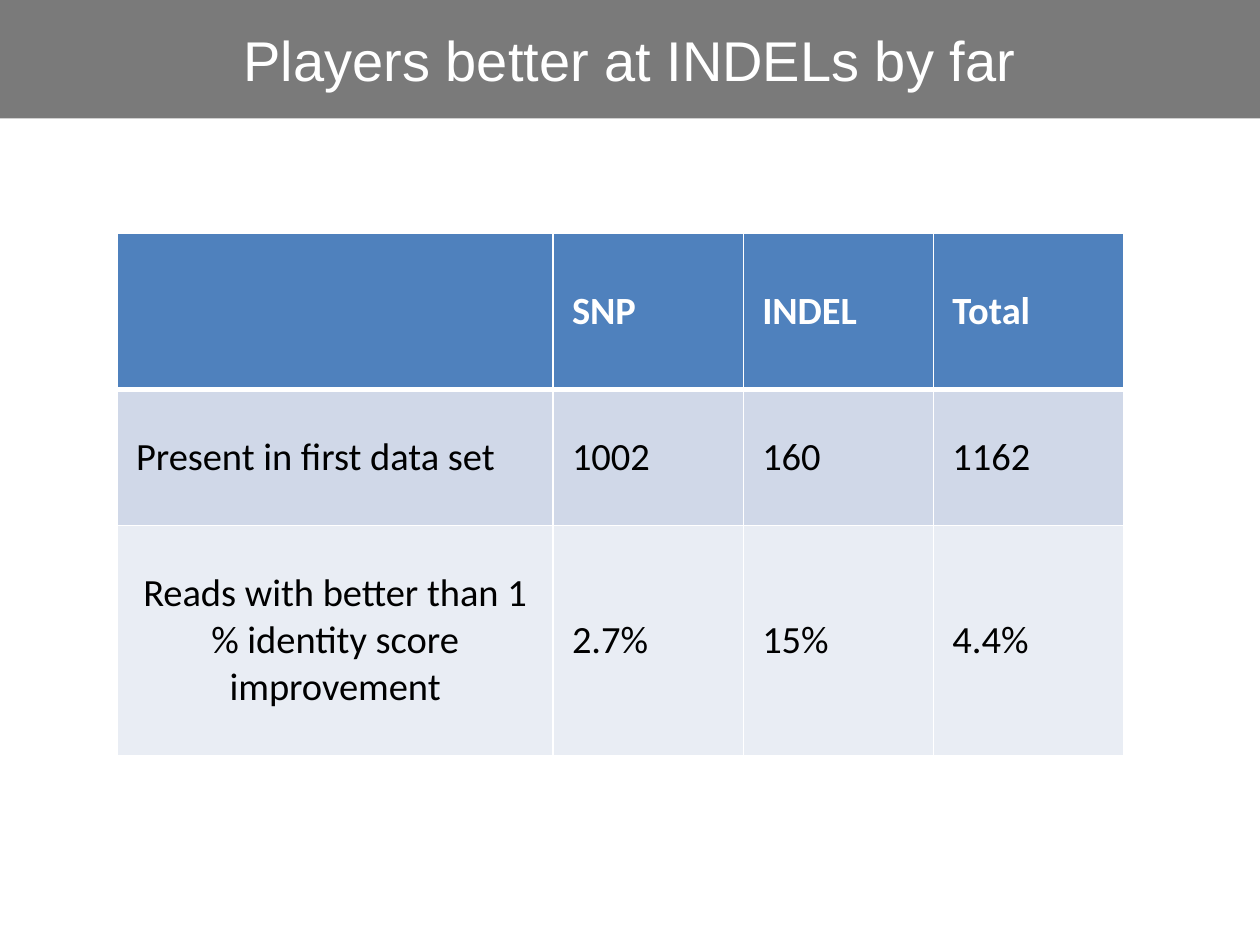
from dataclasses import dataclass

from lxml import etree
from pptx import Presentation
from pptx.dml.color import RGBColor
from pptx.enum import text as t
from pptx.oxml import ns
from pptx.util import Inches, Pt


@dataclass(frozen=True)
class Theme:
    white: str = "FFFFFF"
    black: str = "000000"
    header: str = "4F81BD"
    bands: tuple = ("D0D8E8", "E9EDF4")
    title_font: str = "Arial"
    body_font: str = "Calibri"
    title_size: int = 32
    body_size: int = 22
    band_opacity: int = 52
    rule: int = 1
    header_rule: int = 3


THEME = Theme()
TITLE = "Players better at INDELs by far"
ROWS = [
    ["", "SNP", "INDEL", "Total"],
    ["Present in first data set", "1002", "160", "1162"],
    ["Reads with better than 1 % identity score improvement", "2.7%", "15%", "4.4%"],
]
COLUMN_WIDTHS = [3.46, 1.51, 1.51, 1.51]
ROW_HEIGHTS = [1.24, 1.08, 1.83]
CELL_MARGIN = 0.15


def write(frame, content, *, font, size, color, bold=False, align=t.PP_ALIGN.LEFT):
    paragraph = frame.paragraphs[0]
    paragraph.alignment = align
    run = paragraph.add_run()
    run.text = content
    run.font.name = font
    run.font.size = Pt(size)
    run.font.bold = bold
    run.font.color.rgb = RGBColor.from_string(color)


def paint(fill, color):
    fill.solid()
    fill.fore_color.rgb = RGBColor.from_string(color)


def set_borders(cell, color, **widths):
    properties = cell._tc.get_or_add_tcPr()
    for side, width in widths.items():
        line = etree.SubElement(properties, ns.qn(f"a:ln{side}"), w=str(Pt(width)))
        solid = etree.SubElement(line, ns.qn("a:solidFill"))
        etree.SubElement(solid, ns.qn("a:srgbClr"), val=color)


def add_title_band(slide, width):
    title = slide.shapes.title
    title.left, title.top, title.width, title.height = 0, 0, width, Inches(0.94)
    paint(title.fill, THEME.black)
    # Let the background show through the band
    color = title.fill._xPr.find(".//" + ns.qn("a:srgbClr"))
    etree.SubElement(color, ns.qn("a:alpha"), val=str(THEME.band_opacity * 1000))
    title.text_frame.vertical_anchor = t.MSO_ANCHOR.MIDDLE
    write(title.text_frame, TITLE, font=THEME.title_font, size=THEME.title_size,
          color=THEME.white, align=t.PP_ALIGN.CENTER)


def format_cell(cell, content, row, align):
    is_header = row == 0
    top = THEME.header_rule if row == 1 else THEME.rule
    bottom = THEME.header_rule if is_header else THEME.rule
    set_borders(cell, THEME.white, L=THEME.rule, R=THEME.rule, T=top, B=bottom)
    paint(cell.fill, THEME.header if is_header else THEME.bands[row - 1])
    cell.vertical_anchor = t.MSO_ANCHOR.MIDDLE
    cell.margin_left = cell.margin_right = Inches(CELL_MARGIN)
    cell.margin_top = cell.margin_bottom = Inches(CELL_MARGIN)
    if content:
        write(cell.text_frame, content, font=THEME.body_font, size=THEME.body_size,
              color=THEME.white if is_header else THEME.black,
              bold=is_header, align=align)


def add_results_table(slide):
    table = slide.shapes.add_table(
        len(ROWS), len(COLUMN_WIDTHS), Inches(0.93), Inches(1.85),
        Inches(sum(COLUMN_WIDTHS)), Inches(sum(ROW_HEIGHTS))).table
    for column, width in zip(table.columns, COLUMN_WIDTHS):
        column.width = Inches(width)
    for row, height in zip(table.rows, ROW_HEIGHTS):
        row.height = Inches(height)
    for r, values in enumerate(ROWS):
        for c, value in enumerate(values):
            # Only the long label in the last row is centred
            centred = r == len(ROWS) - 1 and c == 0
            align = t.PP_ALIGN.CENTER if centred else t.PP_ALIGN.LEFT
            format_cell(table.cell(r, c), value, r, align)


def main():
    deck = Presentation()
    deck.slide_width, deck.slide_height = Inches(10), Inches(7.5)
    slide = deck.slides.add_slide(deck.slide_layouts.get_by_name("Title Only"))

    # Title band across the top
    add_title_band(slide, deck.slide_width)
    # Share of improved reads by variant kind
    add_results_table(slide)

    deck.save("out.pptx")


if __name__ == "__main__":
    main()
